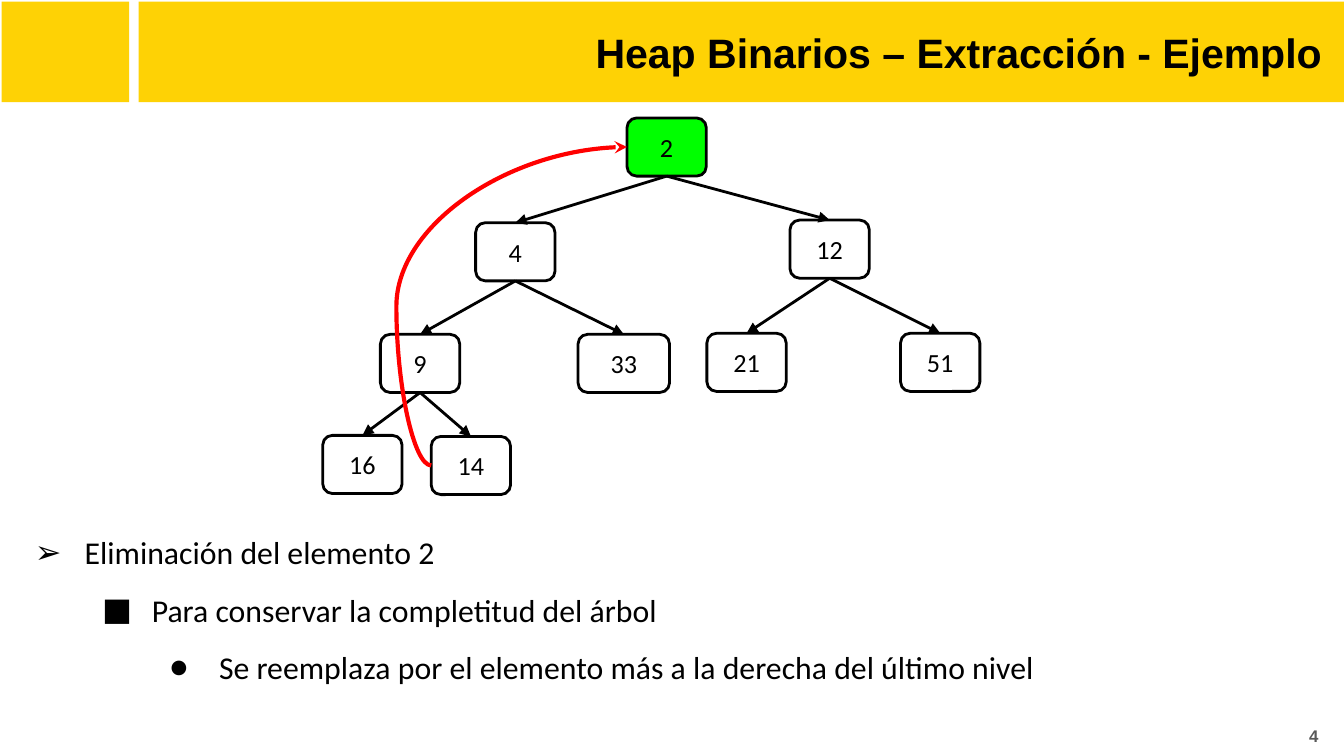
from lxml import etree
from pptx import Presentation
from pptx import util as u
from pptx.dml.color import RGBColor
from pptx.enum import shapes, text
from pptx.oxml.ns import qn

COLORS = {"yellow": "FED205", "green": "00FF00", "white": "FFFFFF",
          "black": "000000", "red": "FF0000", "gray": "595959"}
TITLE = "Heap Binarios – Extracción - Ejemplo"
PAGE_NUMBER = "4"
BARS = [(2.62, 22.78), (0.03, 2.41)]  # left, width

# Heap in array order: the parent of node i is node (i - 1) // 2.
# label, center x, center y, width, fill
HEAP = [
    ("2", 12.6, 2.78, 1.5, "green"),
    ("4", 9.74, 4.76, 1.5, None),
    ("12", 15.68, 4.71, 1.5, "white"),
    ("9", 7.94, 6.87, 1.5, None),
    ("33", 11.79, 6.87, 1.73, "white"),
    ("21", 14.11, 6.85, 1.5, "white"),
    ("51", 17.77, 6.85, 1.5, "white"),
    ("16", 6.85, 8.78, 1.5, "white"),
    ("14", 8.9, 8.8, 1.5, None),
]
NODE_HEIGHT = 1.1
TOP, LEFT, BOTTOM = 0, 1, 2  # connection sites of a rounded rectangle

BULLETS = [
    ("➢", "Eliminación del elemento 2"),
    ("■", "Para conservar la completitud del árbol"),
    ("●", "Se reemplaza por el elemento más a la derecha del último nivel"),
]


def rgb(name):
    return RGBColor.from_string(COLORS[name])


def place(shape, left, top, width, height):
    shape.left, shape.top = u.Cm(left), u.Cm(top)
    shape.width, shape.height = u.Cm(width), u.Cm(height)


def write(shape, lines, size, font, align, color="black", bold=False,
          anchor=text.MSO_ANCHOR.MIDDLE):
    frame = shape.text_frame
    frame.text = "\n".join(lines)
    frame.word_wrap = True
    frame.auto_size = text.MSO_AUTO_SIZE.NONE
    frame.vertical_anchor = anchor
    frame.margin_left = frame.margin_right = u.Cm(0.25)
    frame.margin_top = frame.margin_bottom = u.Cm(0.25)
    for para in frame.paragraphs:
        para.alignment = align
        for span in para.runs:
            span.font.size, span.font.name = u.Pt(size), font
            span.font.bold = bold
            span.font.color.rgb = rgb(color)
    return frame


def add_box(slide, kind, left, top, width, height, fill):
    box = slide.shapes.add_shape(
        kind, u.Cm(left), u.Cm(top), u.Cm(width), u.Cm(height))
    box.shadow.inherit = False
    if fill:
        box.fill.solid()
        box.fill.fore_color.rgb = rgb(fill)
    else:
        box.fill.background()
    box.line.fill.background()
    return box


def add_node(slide, label, x, y, width, fill):
    node = add_box(slide, shapes.MSO_SHAPE.ROUNDED_RECTANGLE, x - width / 2,
                   y - NODE_HEIGHT / 2, width, NODE_HEIGHT, fill)
    node.line.color.rgb = rgb("black")
    node.line.width = u.Pt(1.5)
    write(node, [label], 14, "Calibri", text.PP_ALIGN.CENTER)
    return node


def add_arrow(slide, kind, color, width, head):
    arrow = slide.shapes.add_connector(kind, 0, 0, 0, 0)
    arrow.line.color.rgb = rgb(color)
    arrow.line.width = u.Pt(width)
    etree.SubElement(arrow.line._get_or_add_ln(), qn("a:tailEnd"), type=head)
    etree.SubElement(arrow.element.spPr, qn("a:effectLst"))
    return arrow


def add_replacement_arrow(slide, leaf, root):
    """Curve from the left side of the last leaf to the left side of the root."""
    start_y, end_y = leaf.top + leaf.height // 2, root.top + root.height // 2
    arrow = add_arrow(slide, shapes.MSO_CONNECTOR.CURVE, "red", 2.25, "stealth")
    arrow.begin_x, arrow.begin_y = leaf.left, start_y
    arrow.end_x, arrow.end_y = root.left, end_y
    geometry = arrow.element.spPr.find(qn("a:prstGeom"))
    guides = geometry.find(qn("a:avLst"))
    etree.SubElement(guides, qn("a:gd"), name="adj1", fmla="val -17800")


def add_bullets(slide):
    box = slide.shapes.add_textbox(0, 0, 0, 0)
    place(box, 0.08, 9.47, 25.32, 4.8)
    frame = write(box, [line for _, line in BULLETS], 17, "Calibri",
                  text.PP_ALIGN.LEFT, anchor=text.MSO_ANCHOR.TOP)
    for level, (para, (mark, _)) in enumerate(zip(frame.paragraphs, BULLETS)):
        para.level = level
        para.line_spacing = 1.5
        props = para._p.get_or_add_pPr()
        props.set("marL", str(u.Cm(1.27 * (level + 1))))
        props.set("indent", str(u.Cm(-0.94)))
        color = etree.SubElement(props, qn("a:buClr"))
        etree.SubElement(color, qn("a:srgbClr"), val=COLORS["black"])
        etree.SubElement(props, qn("a:buFont"), typeface="Calibri")
        etree.SubElement(props, qn("a:buChar"), char=mark)


def main():
    deck = Presentation()
    deck.slide_width, deck.slide_height = u.Cm(25.4), u.Cm(14.29)
    slide = deck.slides.add_slide(deck.slide_layouts[5])

    for left, width in BARS:
        add_box(slide, shapes.MSO_SHAPE.RECTANGLE, left, 0.03, width, 1.9, "yellow")

    title = slide.shapes.title
    place(title, 2.74, 0.18, 22.5, 1.6)
    write(title, [TITLE], 22, "Arial", text.PP_ALIGN.RIGHT, bold=True)
    title.element.getparent().append(title.element)  # in front of the bars

    add_bullets(slide)
    number = slide.shapes.add_textbox(0, 0, 0, 0)
    place(number, 24.05, 13.36, 1.12, 1.09)
    write(number, [PAGE_NUMBER], 9, "Arial", text.PP_ALIGN.RIGHT, "gray", True)

    nodes = [add_node(slide, *node) for node in HEAP]
    for index, child in enumerate(nodes[1:], start=1):
        edge = add_arrow(slide, shapes.MSO_CONNECTOR.STRAIGHT, "black", 1.5, "triangle")
        edge.begin_connect(nodes[(index - 1) // 2], BOTTOM)
        edge.end_connect(child, TOP)
    add_replacement_arrow(slide, nodes[-1], nodes[0])

    deck.save("out.pptx")


if __name__ == "__main__":
    main()
